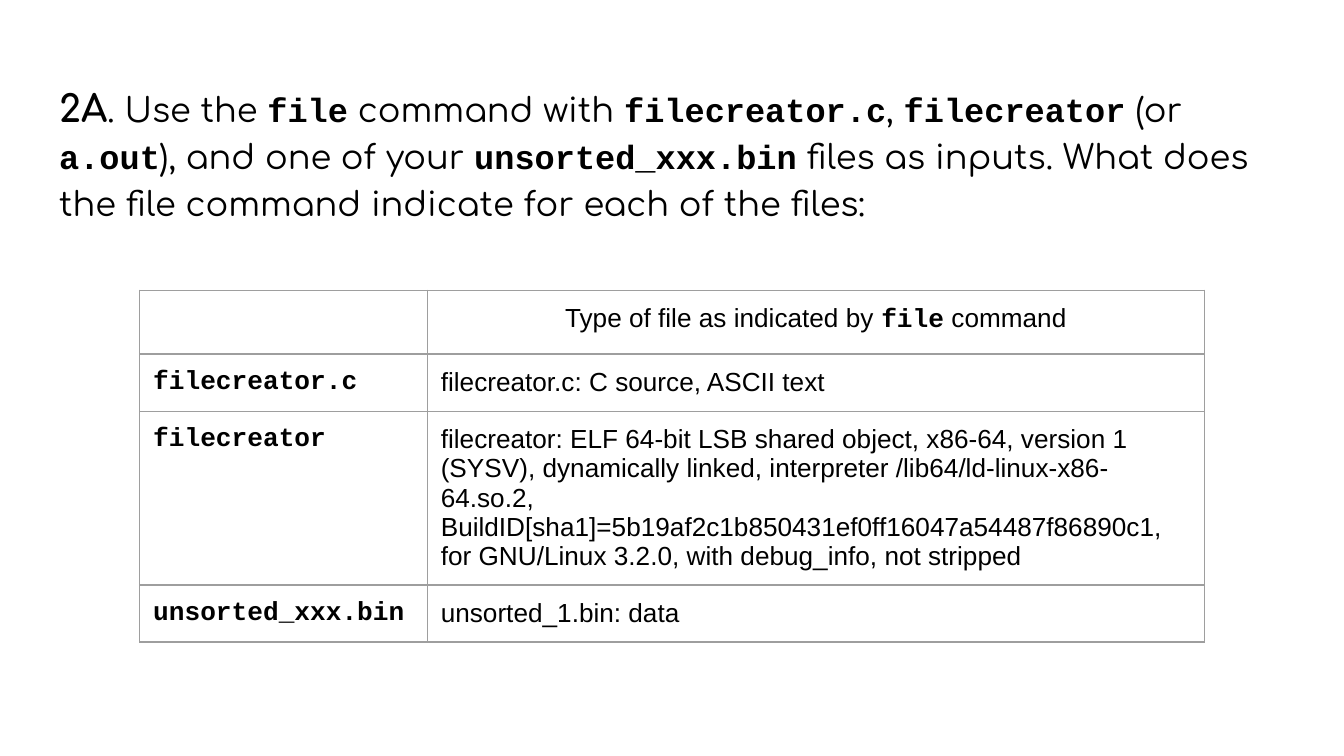
from lxml.etree import SubElement
from pptx import Presentation
from pptx.dml.color import RGBColor
from pptx.enum.text import MSO_ANCHOR, MSO_AUTO_SIZE, PP_ALIGN
from pptx.oxml.ns import qn
from pptx.util import Pt

PX = 4572  # 200 px to the inch
PAD = 20 * PX


def add_text(p, text, size, font, bold=False):
    """Add runs to p; parts between backticks are set as bold code."""
    for i, part in enumerate(text.split("`")):
        if not part:
            continue
        code = i % 2 == 1
        r = p.add_run()
        r.text = part
        r.font.size = Pt(size)
        r.font.name = "Courier New" if code else font
        r.font.bold = code or bold
        r.font.color.rgb = RGBColor.from_string("000000")


def set_borders(cell, color, width):
    tc_pr = cell._tc.get_or_add_tcPr()
    for i, side in enumerate(("lnL", "lnR", "lnT", "lnB")):
        ln = SubElement(tc_pr, qn(f"a:{side}"), w=str(Pt(width)))
        fill = SubElement(ln, qn("a:solidFill"))
        SubElement(fill, qn("a:srgbClr"), val=color)
        tc_pr.remove(ln)
        tc_pr.insert(i, ln)  # borders come before the fill


prs = Presentation()
prs.slide_width, prs.slide_height = 2000 * PX, 1125 * PX
s = prs.slides.add_slide(prs.slide_layouts[5])

# Question
title = s.shapes.title
title.left, title.top, title.width, title.height = 68 * PX, 97 * PX, 1864 * PX, 960 * PX
tf = title.text_frame
tf.word_wrap = True
tf.auto_size = MSO_AUTO_SIZE.NONE
tf.vertical_anchor = MSO_ANCHOR.TOP
tf.margin_left = tf.margin_right = tf.margin_top = tf.margin_bottom = PAD
p = tf.paragraphs[0]
p.alignment = PP_ALIGN.LEFT
p.line_spacing = 1.15
p.space_before = Pt(0)
add_text(p, "2A", size=20, font="Comfortaa", bold=True)
add_text(p, ". Use the `file` command with `filecreator.c`, `filecreator` (or `a.out`), "
            "and one of your `unsorted_xxx.bin` files as inputs. What does the file "
            "command indicate for each of the files:", size=18, font="Comfortaa")

# Answers
rows = [
    ("", "Type of file as indicated by `file` command"),
    ("`filecreator.c`", "filecreator.c: C source, ASCII text"),
    ("`filecreator`", "filecreator: ELF 64-bit LSB shared object, x86-64, version 1 (SYSV), "
     "dynamically linked, interpreter /lib64/ld-linux-x86-64.so.2, "
     "BuildID[sha1]=5b19af2c1b850431ef0ff16047a54487f86890c1, "
     "for GNU/Linux 3.2.0, with debug_info, not stripped"),
    ("`unsorted_xxx.bin`", "unsorted_1.bin: data"),
]
col_widths = [428, 1156]
row_heights = [95, 85, 258, 85]
table = s.shapes.add_table(len(rows), len(col_widths), 208 * PX, 432 * PX,
                           sum(col_widths) * PX, sum(row_heights) * PX).table
for col, width in zip(table.columns, col_widths):
    col.width = width * PX
for row, height in zip(table.rows, row_heights):
    row.height = height * PX
for i, texts in enumerate(rows):
    for j, text in enumerate(texts):
        cell = table.cell(i, j)
        cell.fill.background()
        set_borders(cell, color="9E9E9E", width=0.75)
        if text:
            cell.margin_left = cell.margin_right = PAD
            cell.margin_top = cell.margin_bottom = PAD
            p = cell.text_frame.paragraphs[0]
            p.alignment = PP_ALIGN.CENTER if i == 0 else PP_ALIGN.LEFT
            add_text(p, text, size=14, font="Arial")

prs.save("out.pptx")
